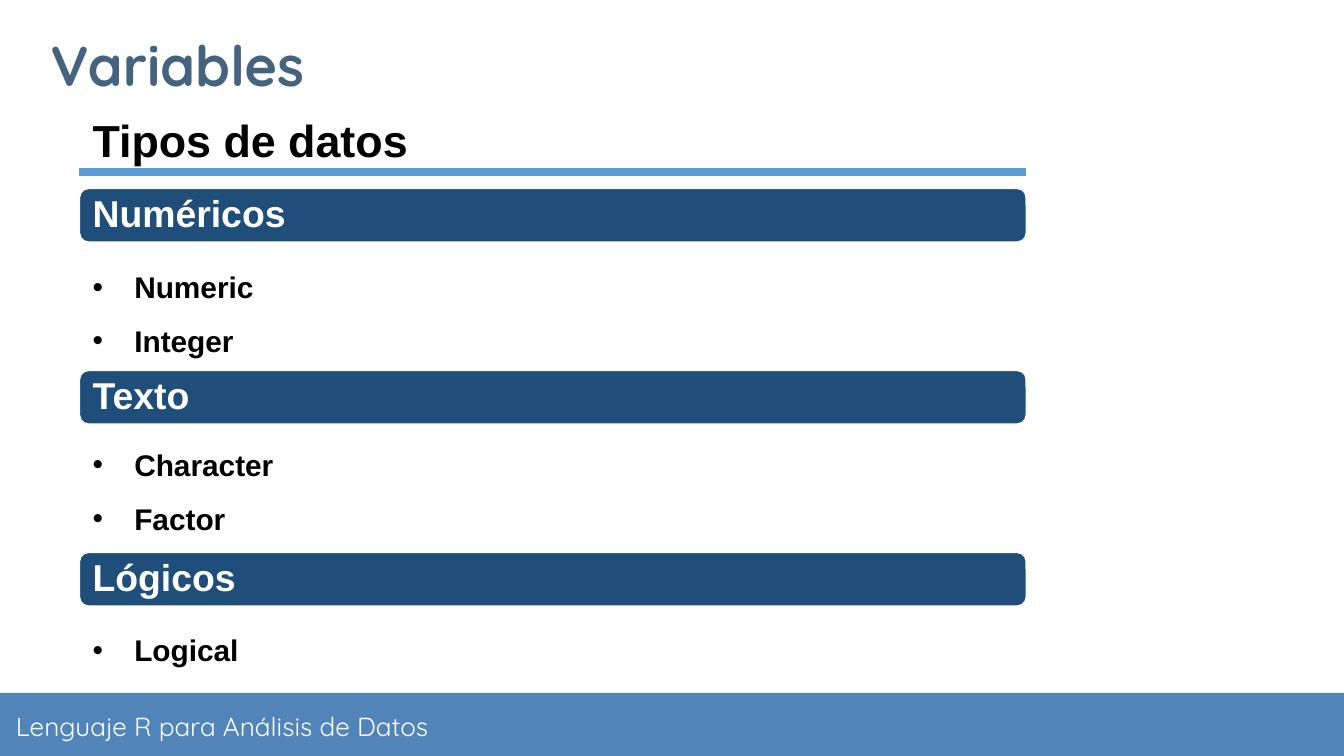
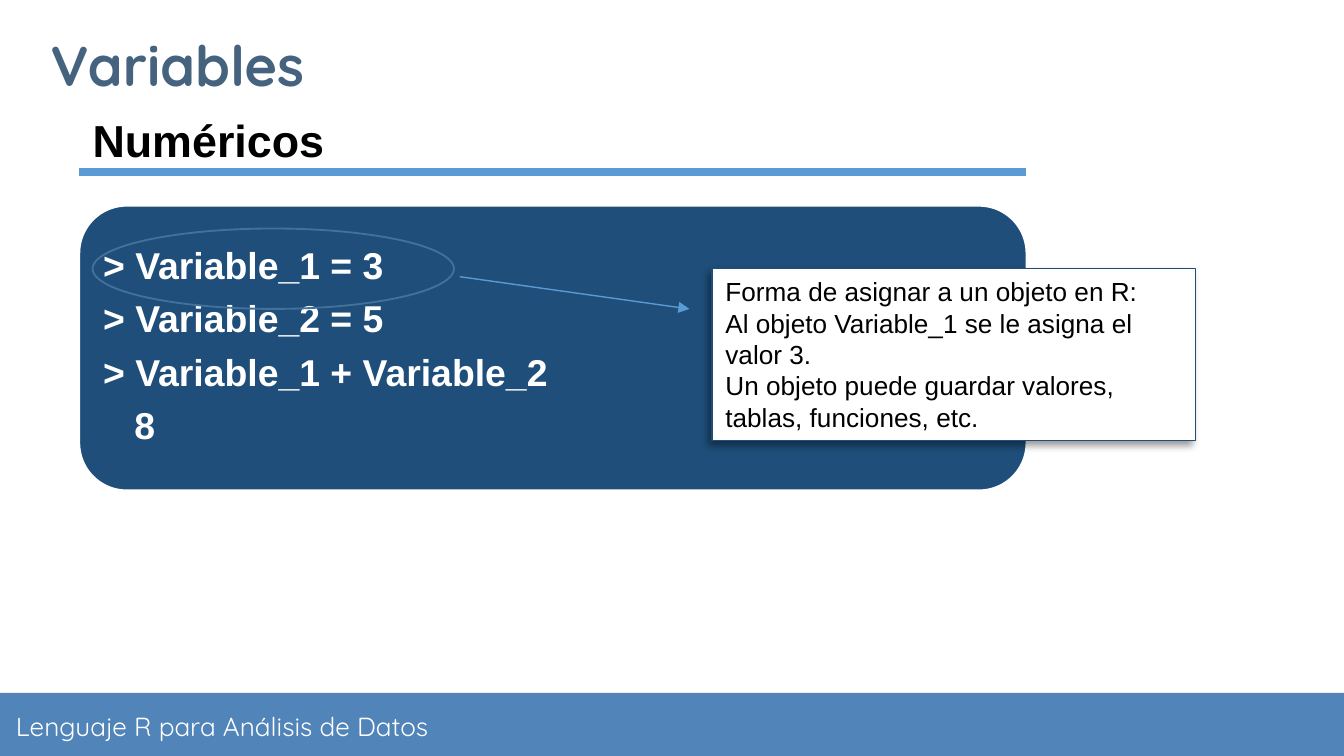
from lxml import etree
from pptx import Presentation
from pptx.dml.color import RGBColor
from pptx.enum.shapes import MSO_CONNECTOR, MSO_SHAPE
from pptx.enum.text import MSO_ANCHOR, PP_ALIGN
from pptx.oxml.ns import qn
from pptx.util import Cm, Pt

COLORS = {
    "band": "5184B9", "title": "45637F", "bar": "1E4E79", "rule": "5B9BD5",
    "ring": "42719B", "white": "FFFFFF", "black": "000000",
}
LEFT, WIDTH = 1.5, 17.9  # content column, in cm


def add_block(slide, kind, box, fill=None, line=None, line_width=1):
    """Add a preset shape; box is left, top, width, height in cm."""
    shape = slide.shapes.add_shape(kind, *[Cm(length) for length in box])
    shape.shadow.inherit = False
    if fill:
        shape.fill.solid()
        shape.fill.fore_color.rgb = RGBColor.from_string(COLORS[fill])
    else:
        shape.fill.background()
    if line:
        shape.line.color.rgb = RGBColor.from_string(COLORS[line])
        shape.line.width = Pt(line_width)
    else:
        shape.line.fill.background()
    return shape


def add_text(slide, box, lines, size, color="black", font="Arial", bold=True,
             inset=(0.25, 0.13), middle=False, spacing=None, before=0, shape=None):
    """Write one paragraph per line into a shape, or into a new text box."""
    if shape is None:
        shape = slide.shapes.add_textbox(*[Cm(length) for length in box])
    frame = shape.text_frame
    frame.word_wrap = True
    frame.margin_left = frame.margin_right = Cm(inset[0])
    frame.margin_top = frame.margin_bottom = Cm(inset[1])
    frame.vertical_anchor = MSO_ANCHOR.MIDDLE if middle else MSO_ANCHOR.TOP
    for index, line in enumerate(lines):
        paragraph = frame.add_paragraph() if index else frame.paragraphs[0]
        paragraph.alignment = PP_ALIGN.LEFT
        if spacing:
            paragraph.line_spacing = spacing
        if before and index:
            paragraph.space_before = Pt(before)
        run = paragraph.add_run()
        run.text = line
        run.font.size = Pt(size)
        run.font.name = font
        run.font.bold = bold
        run.font.color.rgb = RGBColor.from_string(COLORS[color])
    return frame


presentation = Presentation()
presentation.slide_width = Cm(25.4)
presentation.slide_height = Cm(14.29)

# Parts both slides share: footer band, title, underlined heading
slides = []
for heading, heading_width in (("Tipos de datos", 6.53), ("Numéricos", 4.93)):
    slide = presentation.slides.add_slide(presentation.slide_layouts[6])
    slides.append(slide)
    add_block(slide, MSO_SHAPE.RECTANGLE, (0, 13.1, 25.4, 1.19), "band")
    add_text(slide, (0.05, 13.13, 12.62, 1.19), ["Lenguaje R para Análisis de Datos"],
             14, "white", "Quicksand", False, (0.25, 0.25), True)
    add_text(slide, (0.71, 0.56, 16.74, 1.3), ["Variables"],
             30, "title", "Quicksand", True, (0.25, 0.25), True)
    add_text(slide, (LEFT, 2.01, heading_width, 1.27), [heading], 24)
    rule = slide.shapes.add_connector(
        MSO_CONNECTOR.STRAIGHT, Cm(LEFT), Cm(3.25), Cm(LEFT + WIDTH), Cm(3.25))
    rule.line.color.rgb = RGBColor.from_string(COLORS["rule"])
    rule.line.width = Pt(4.5)
    etree.SubElement(rule._element.spPr, qn("a:effectLst"))
types_slide, numeric_slide = slides

# Slide 1: one bar and bullet list per data type
data_types = [
    ("Numéricos", ["Numeric", "Integer"], 4.62, 3.61),
    ("Texto", ["Character", "Factor"], 7.98, 3.96),
    ("Lógicos", ["Logical"], 11.48, 3.3),
]
for index, (name, items, list_top, list_width) in enumerate(data_types):
    bar_top = 3.56 + index * 3.44
    add_block(types_slide, MSO_SHAPE.ROUNDED_RECTANGLE,
              (LEFT, bar_top, WIDTH, 1.02), "bar", "white")
    add_text(types_slide, (LEFT + 0.05, bar_top + 0.05, WIDTH - 0.1, 0.92), [name],
             20, "white", inset=(0.2, 0.2), middle=True, spacing=0.9)
    bullets = add_text(types_slide, (LEFT, list_top, list_width, 1.15 * len(items)),
                       items, 16, spacing=1.5)
    for paragraph in bullets.paragraphs:
        properties = paragraph._p.get_or_add_pPr()
        properties.set("marL", str(Cm(0.79)))
        properties.set("indent", str(-Cm(0.79)))
        bullet_color = etree.SubElement(properties, qn("a:buClr"))
        etree.SubElement(bullet_color, qn("a:srgbClr"), val=COLORS["black"])
        etree.SubElement(properties, qn("a:buFont"), typeface="Arial")
        etree.SubElement(properties, qn("a:buChar"), char="•")

# Slide 2: code panel
add_block(numeric_slide, MSO_SHAPE.ROUNDED_RECTANGLE,
          (LEFT, 3.89, WIDTH, 5.38), "bar", "white")
code = add_text(
    numeric_slide, (1.75, 4.14, 17.37, 4.85),
    ["> Variable_1 = 3", "> Variable_2 = 5", "> Variable_1 + Variable_2", "8"],
    20, "white", inset=(0.2, 0.2), middle=True, spacing=0.9, before=7)
code.paragraphs[-1]._p.get_or_add_pPr().set("marL", str(Cm(0.59)))

# Ring around the assignment, and the arrow to its explanation
add_block(numeric_slide, MSO_SHAPE.OVAL, (1.75, 4.32, 6.83, 1.52), line="ring")
arrow = numeric_slide.shapes.add_connector(
    MSO_CONNECTOR.STRAIGHT, Cm(8.69), Cm(5.23), Cm(13.03), Cm(5.84))
arrow.line.color.rgb = RGBColor.from_string(COLORS["rule"])
arrow.line.width = Pt(0.75)
etree.SubElement(arrow.line._get_or_add_ln(), qn("a:tailEnd"), type="triangle")
etree.SubElement(arrow._element.spPr, qn("a:effectLst"))

# Explanation note with a soft shadow
note = add_block(numeric_slide, MSO_SHAPE.RECTANGLE, (13.46, 5.08, 9.14, 3.25),
                 "white", "bar", 0.75)
add_text(numeric_slide, None, [
    "Forma de asignar a un objeto en R:",
    "Al objeto Variable_1 se le asigna el valor 3.",
    "Un objeto puede guardar valores, tablas, funciones, etc.",
], 14, bold=False, shape=note)
effects = note._element.spPr.find(qn("a:effectLst"))
shadow = etree.SubElement(effects, qn("a:outerShdw"), blurRad=str(Pt(4)),
                          dist=str(Pt(3)), dir=str(135 * 60000), rotWithShape="0")
shadow_color = etree.SubElement(shadow, qn("a:srgbClr"), val=COLORS["black"])
etree.SubElement(shadow_color, qn("a:alpha"), val="40000")

presentation.save("out.pptx")
